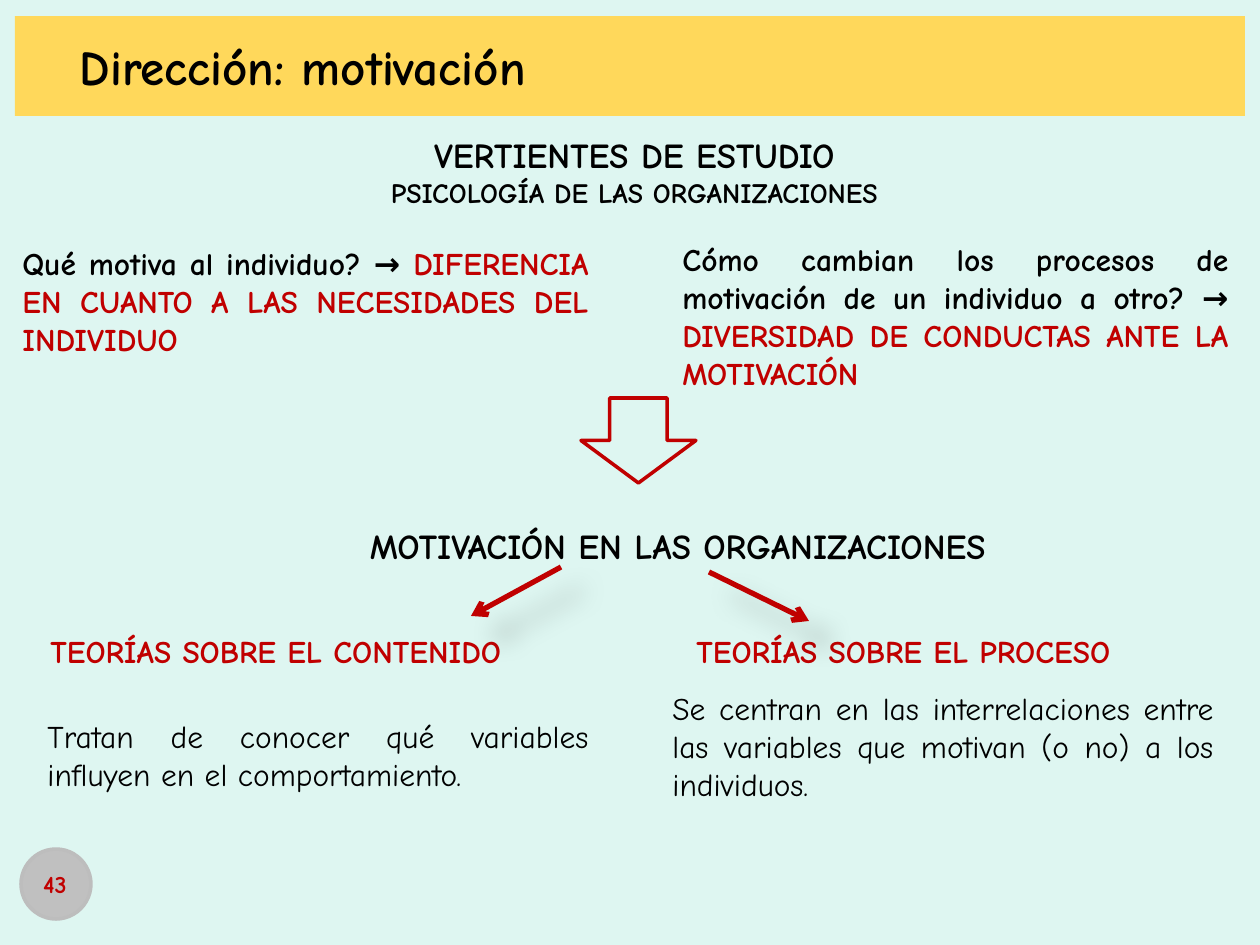
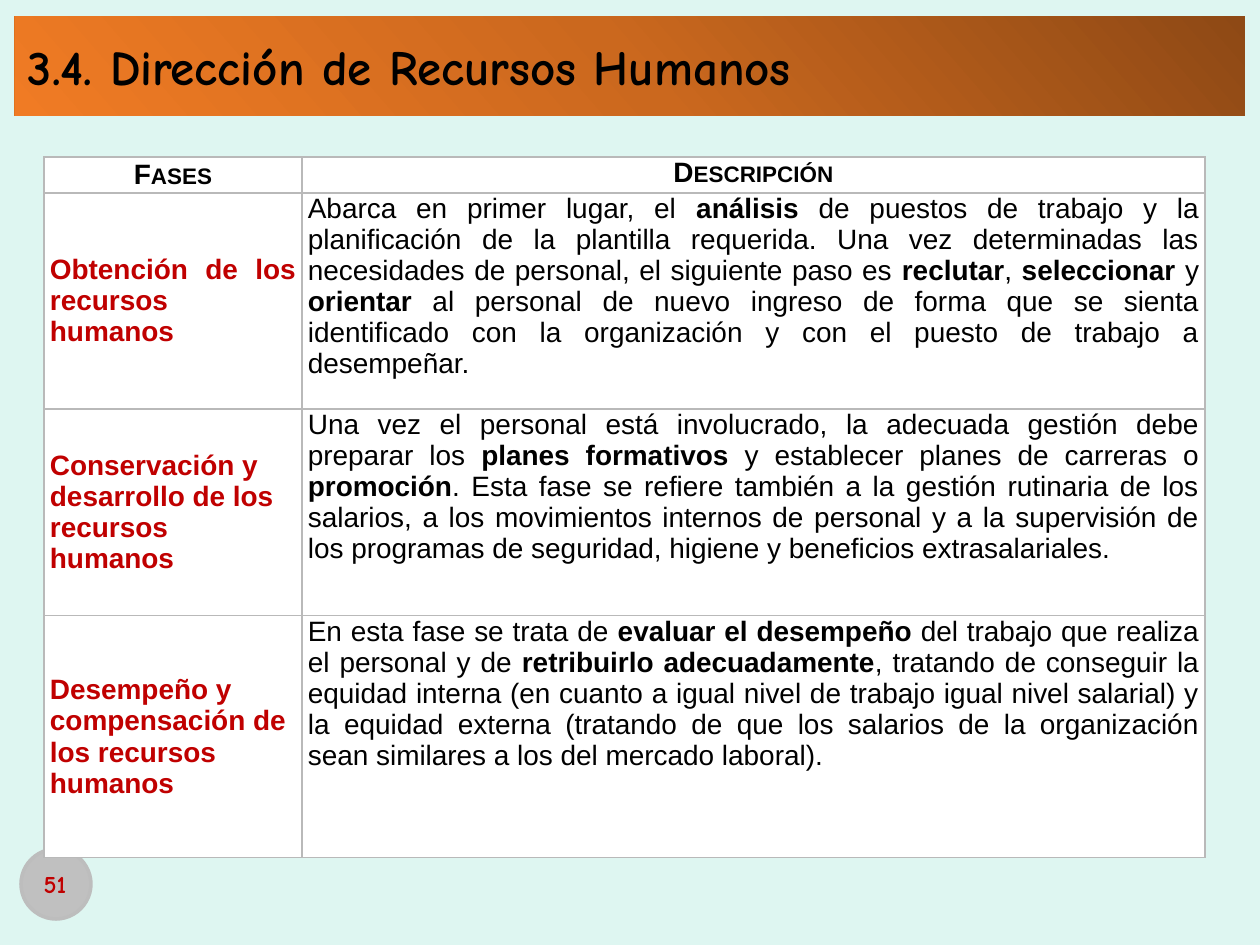
import copy

import pptx
import pptx.dml.color
import pptx.enum.shapes
import pptx.enum.text
import pptx.oxml
import pptx.oxml.ns
import pptx.util
from lxml import etree

# Shared look
PX = 914400 / 126
INK, RED, MINT, YELLOW = "000000", "C00000", "DEF6F1", "FFD85B"
GREY, RING, BORDER, WHITE = "C0C0C0", "BDBDBD", "B9B9B9", "FFFFFF"
ORANGES = ("8E4915", "CB681E", "F07B24")
COMIC, ARIAL = "Comic Neue", "Arial"
BAND = (15, 16, 1230, 100)
BADGE, BADGE_TEXT = (21, 849, 70, 70), (5, 859, 100, 50)
ALIGN = pptx.enum.text.PP_ALIGN
LEFT, CENTER, JUSTIFY = ALIGN.LEFT, ALIGN.CENTER, ALIGN.JUSTIFY
ANCHOR = pptx.enum.text.MSO_ANCHOR
SHAPE = pptx.enum.shapes.MSO_SHAPE

# Slide 1: box, alignment, paragraphs of (text, size, colour, bold)
MOTIVATION = [
    ((322, 127, 625, 97), CENTER, [
        [("VERTIENTES DE ESTUDIO", 20, INK, True)],
        [("PSICOLOGÍA DE LAS ORGANIZACIONES", 16, INK, True)]]),
    ((10, 238, 591, 127), JUSTIFY, [
        [("Qué motiva al individuo? → ", 18, INK, True),
         ("DIFERENCIA EN CUANTO A LAS NECESIDADES DEL INDIVIDUO", 18, RED, True)]]),
    ((670, 234, 571, 165), JUSTIFY, [
        [("Cómo cambian los procesos de motivación de un individuo a otro? →", 18, INK, True),
         (" DIVERSIDAD DE CONDUCTAS ANTE LA MOTIVACIÓN", 18, RED, True)]]),
    ((189, 518, 978, 55), CENTER, [
        [("MOTIVACIÓN EN LAS ORGANIZACIONES", 20, INK, True)]]),
    ((38, 626, 582, 50), JUSTIFY, [
        [("TEORÍAS SOBRE EL CONTENIDO", 18, RED, True)]]),
    ((684, 626, 520, 50), JUSTIFY, [
        [("TEORÍAS SOBRE EL PROCESO", 18, RED, True)]]),
    ((35, 711, 566, 89), JUSTIFY, [
        [("Tratan de conocer qué variables influyen en el comportamiento.", 18, INK, False)]]),
    ((660, 683, 566, 127), JUSTIFY, [
        [("Se centran en las interrelaciones entre las variables que motivan "
          "(o no) a los individuos.", 18, INK, False)]]),
]
DOWN_ARROW = (581, 398, 115, 85)
BRANCHES = [(561, 567, 471, 616), (709, 572, 809, 621)]

# Slide 2: phase, its alignment, description in pieces that alternate plain and bold
HEADINGS = ("Fases", "Descripción")
PHASES = [
    ("Obtención de los recursos humanos", JUSTIFY, [
        "Abarca en primer lugar, el ", "análisis",
        " de puestos de trabajo y la planificación de la plantilla requerida. Una vez "
        "determinadas las necesidades de personal, el siguiente paso es ", "reclutar",
        ", ", "seleccionar", " y ", "orientar",
        " al personal de nuevo ingreso de forma que se sienta identificado con la "
        "organización y con el puesto de trabajo a desempeñar."]),
    ("Conservación y desarrollo de los recursos humanos", LEFT, [
        "Una vez el personal está involucrado, la adecuada gestión debe preparar los ",
        "planes formativos ", "y establecer planes de carreras o ", "promoción",
        ". Esta fase se refiere también a la gestión rutinaria de los salarios, a los "
        "movimientos internos de personal y a la supervisión de los programas de "
        "seguridad, higiene y beneficios extrasalariales."]),
    ("Desempeño y compensación de los recursos humanos", LEFT, [
        "En esta fase se trata de ", "evaluar el desempeño ",
        "del trabajo que realiza el personal y de", " retribuirlo adecuadamente",
        ", tratando de conseguir la equidad interna (en cuanto a igual nivel de trabajo "
        "igual nivel salarial) y la equidad externa (tratando de que los salarios de la "
        "organización sean similares a los del mercado laboral)."]),
]
TABLE_CORNER = (44, 157)
COLUMN_WIDTHS, ROW_HEIGHTS = (258, 903), (36, 216, 207, 242)


# Helpers
def px(*lengths):
    return [pptx.util.Emu(round(length * PX)) for length in lengths]


def rgb(value):
    return pptx.dml.color.RGBColor.from_string(value)


def paint(fill, value):
    fill.solid()
    fill.fore_color.rgb = rgb(value)


def outline(line, value, points):
    line.color.rgb = rgb(value)
    line.width = pptx.util.Pt(points)


def element(xml):
    return pptx.oxml.parse_xml(xml.replace(" ", f" {pptx.oxml.ns.nsdecls('a')} ", 1))


def write(frame, align, paragraphs, face=COMIC):
    for index, runs in enumerate(paragraphs):
        paragraph = frame.add_paragraph() if index else frame.paragraphs[0]
        paragraph.alignment = align
        for text, size, color, bold in runs:
            run = paragraph.add_run()
            run.text = text
            run.font.name = face
            run.font.size = pptx.util.Pt(size)
            run.font.bold = bold
            run.font.color.rgb = rgb(color)


def add_text(slide, box, align, paragraphs, anchor=ANCHOR.TOP):
    frame = slide.shapes.add_textbox(*px(*box)).text_frame
    frame.word_wrap = True
    frame.vertical_anchor = anchor
    write(frame, align, paragraphs)


def add_plain_shape(slide, preset, box):
    shape = slide.shapes.add_shape(preset, *px(*box))
    shape.shadow.inherit = False
    return shape


def add_slide(deck, heading, number, indent):
    slide = deck.slides.add_slide(deck.slide_layouts[5])
    title = slide.shapes.title
    title.left, title.top, title.width, title.height = px(*BAND)
    frame = title.text_frame
    frame.auto_size = pptx.enum.text.MSO_AUTO_SIZE.NONE
    frame.vertical_anchor = ANCHOR.MIDDLE
    frame.margin_left, = px(indent)
    write(frame, LEFT, [[(heading, 28, INK, True)]])

    badge = add_plain_shape(slide, SHAPE.OVAL, BADGE)
    paint(badge.fill, GREY)
    outline(badge.line, RING, 2)
    add_text(slide, BADGE_TEXT, CENTER, [[(number, 14, RED, True)]], ANCHOR.MIDDLE)
    return slide


def paint_gradient(fill, stops_parent, colors):
    fill.gradient()
    fill.gradient_angle = 221
    stop_list = next(stops_parent.iter(pptx.oxml.ns.qn("a:gsLst")))
    stop_list.insert(1, copy.deepcopy(stop_list[0]))
    for index, (stop, color) in enumerate(zip(fill.gradient_stops, colors)):
        stop.color.rgb = rgb(color)
        stop.position = index / (len(colors) - 1)


def add_branch(slide, ends):
    branch = slide.shapes.add_connector(pptx.enum.shapes.MSO_CONNECTOR.STRAIGHT, *px(*ends))
    outline(branch.line, RED, 3)
    branch.line._get_or_add_ln().append(element('<a:tailEnd type="arrow"/>'))
    branch._element.spPr.append(element(
        '<a:effectLst ><a:outerShdw blurRad="190500" dist="228600" dir="2700000">'
        '<a:srgbClr val="000000"><a:alpha val="26000"/></a:srgbClr>'
        '</a:outerShdw></a:effectLst>'))


def fill_cell(cell, align, anchor, runs, small_caps=False):
    properties = cell._tc.get_or_add_tcPr()
    for side in "LRTB":
        properties.append(element(
            f'<a:ln{side} w="9525"><a:solidFill><a:srgbClr val="{BORDER}"/>'
            f'</a:solidFill></a:ln{side}>'))
    paint(cell.fill, WHITE)
    cell.margin_left = cell.margin_right = px(6)[0]
    cell.margin_top = cell.margin_bottom = 0
    cell.vertical_anchor = anchor
    write(cell.text_frame, align, [runs], ARIAL)
    if small_caps:
        for run in cell.text_frame.paragraphs[0].runs:
            run.font._element.set("cap", "small")


# Slides
def build_motivation(deck):
    slide = add_slide(deck, "Dirección: motivación", "43", 65)
    paint(slide.shapes.title.fill, YELLOW)
    for box, align, paragraphs in MOTIVATION:
        add_text(slide, box, align, paragraphs)
    arrow = add_plain_shape(slide, SHAPE.DOWN_ARROW, DOWN_ARROW)
    arrow.fill.background()
    outline(arrow.line, RED, 2)
    for ends in BRANCHES:
        add_branch(slide, ends)


def build_phases(deck):
    slide = add_slide(deck, "3.4. Dirección de Recursos Humanos", "51", 13)
    title = slide.shapes.title
    paint_gradient(title.fill, title._element.spPr, ORANGES)

    size = (sum(COLUMN_WIDTHS), sum(ROW_HEIGHTS))
    table = slide.shapes.add_table(
        len(ROW_HEIGHTS), len(COLUMN_WIDTHS), *px(*TABLE_CORNER, *size)).table
    table.first_row = table.horz_banding = False
    for column, width in zip(table.columns, px(*COLUMN_WIDTHS)):
        column.width = width
    for row, height in zip(table.rows, px(*ROW_HEIGHTS)):
        row.height = height

    anchors = (ANCHOR.MIDDLE, ANCHOR.TOP)
    for column, heading in enumerate(HEADINGS):
        fill_cell(table.cell(0, column), CENTER, anchors[column],
                  [(heading, 16, INK, True)], small_caps=True)
    for row, (phase, align, pieces) in enumerate(PHASES, 1):
        fill_cell(table.cell(row, 0), align, anchors[0], [(phase, 16, RED, True)])
        description = [(piece, 16, INK, index % 2 == 1) for index, piece in enumerate(pieces)]
        fill_cell(table.cell(row, 1), JUSTIFY, anchors[1], description)


def main():
    deck = pptx.Presentation()
    deck.slide_width, deck.slide_height = px(1260, 945)
    paint(deck.slide_master.background.fill, MINT)
    build_motivation(deck)
    build_phases(deck)
    deck.save("out.pptx")


if __name__ == "__main__":
    main()
